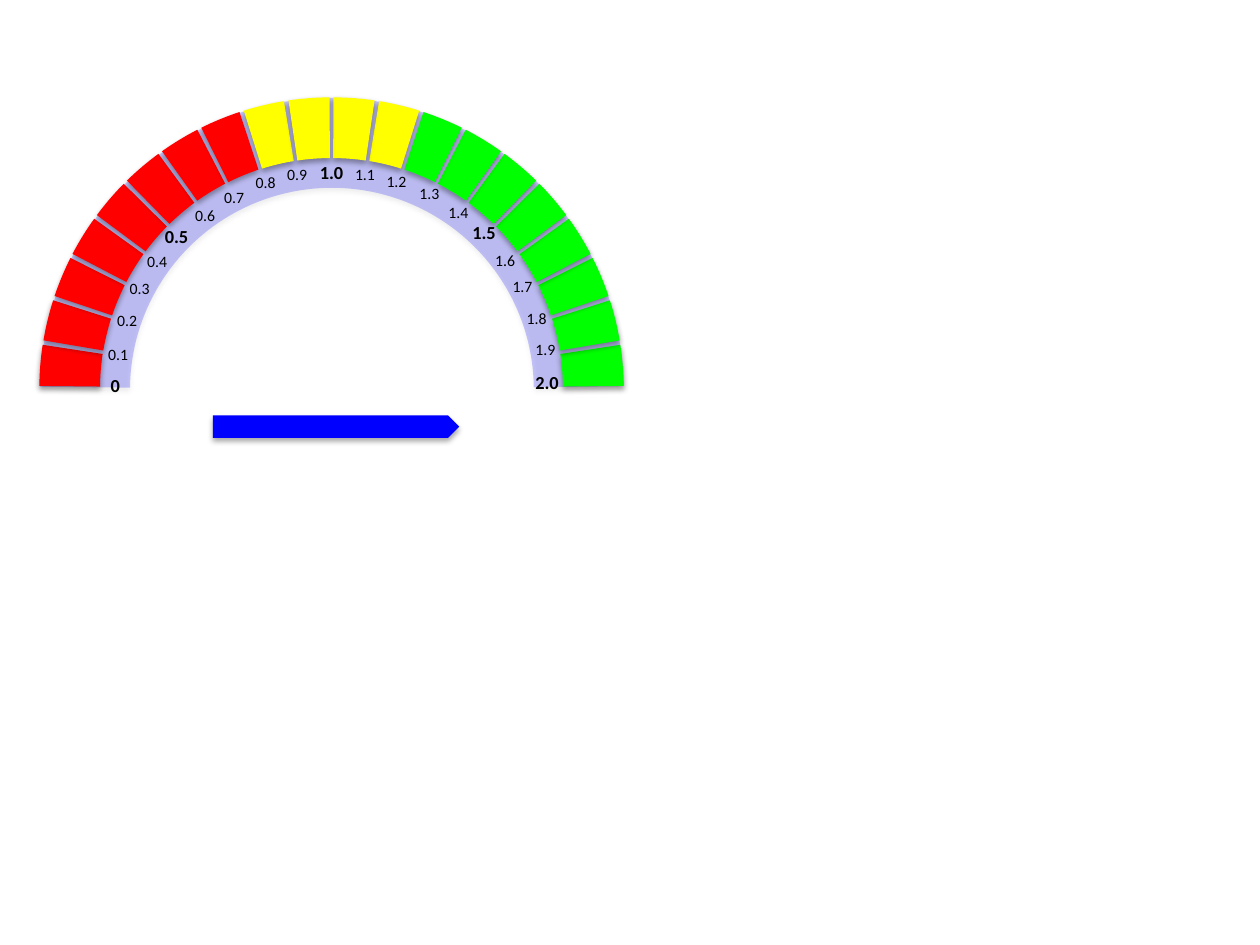
import pptx
import pptx.util
import pptx.dml.color
import pptx.enum.shapes
import pptx.enum.text
from lxml import etree
from pptx.oxml.ns import qn

Pt = pptx.util.Pt
SHAPE = pptx.enum.shapes.MSO_SHAPE

COLORS = {"low": "FF0000", "mid": "FFFF00", "high": "00FF00",
          "blue": "0000FF", "text": "000000", "shadow": "000000"}


class Gauge:
    """Style and drawing methods for the current slide."""
    font = "Calibri"

    def __init__(self, slide):
        self.slide = slide
        self.shapes = slide.shapes

    def group(self):
        self.shapes = self.slide.shapes.add_group_shape().shapes

    def ungroup(self):
        self.shapes = self.slide.shapes

    def rgb(self, name):
        return pptx.dml.color.RGBColor.from_string(COLORS[name])

    def shape(self, kind, left, top, width, height, color, alpha=None):
        sp = self.shapes.add_shape(kind, Pt(left), Pt(top), Pt(width), Pt(height))
        sp.fill.solid()
        sp.fill.fore_color.rgb = self.rgb(color)
        sp.line.fill.background()
        if alpha:
            clr = sp.element.spPr.find(qn("a:solidFill"))[0]
            etree.SubElement(clr, qn("a:alpha"), val=str(alpha * 1000))
        self.shadow(sp)
        return sp

    def shadow(self, sp):
        sp.shadow.inherit = False
        effects = sp.element.spPr.find(qn("a:effectLst"))
        outer = etree.SubElement(effects, qn("a:outerShdw"), blurRad="40000",
                                 dist="23000", dir="5400000", rotWithShape="0")
        clr = etree.SubElement(outer, qn("a:srgbClr"), val=COLORS["shadow"])
        etree.SubElement(clr, qn("a:alpha"), val="35000")

    def arc(self, left, top, size, adjustments, color, rotation=0,
            flip=False, alpha=None):
        sp = self.shape(SHAPE.BLOCK_ARC, left, top, size, size, color, alpha)
        for i, value in enumerate(adjustments):
            sp.adjustments[i] = value
        sp.rotation = rotation
        if flip:
            sp.element.spPr.xfrm.set("flipH", "1")

    def label(self, text, left, top, width, bold):
        tb = self.shapes.add_textbox(Pt(left), Pt(top), Pt(width),
                                     Pt(20 if bold else 18))
        tf = tb.text_frame
        tf.word_wrap = True
        tf.auto_size = pptx.enum.text.MSO_AUTO_SIZE.SHAPE_TO_FIT_TEXT
        r = tf.paragraphs[0].add_run()
        r.text = text
        r.font.name = self.font
        r.font.size = Pt(10.5 if bold else 9)
        r.font.bold = bold
        r.font.color.rgb = self.rgb("text")


prs = pptx.Presentation()
prs.slide_width, prs.slide_height = Pt(720), Pt(540)
gauge = Gauge(prs.slides.add_slide(prs.slide_layouts[6]))
gauge.group()

# Pale scale band behind the segments
SIZE = 333.4
gauge.arc(23, 56, SIZE, (108.347, 215.591, 0.154), "blue", alpha=21)

# Ten segments per side, 9 degrees each, from the outside to the middle
SEGMENT = (210.78, 215.643, 0.104)
for left, outer_color, direction in ((23, "high", -1), (22.5, "low", 1)):
    for i in range(10):
        gauge.arc(left, 55.6, SIZE, SEGMENT, outer_color if i < 8 else "mid",
                  rotation=direction * 9 * i % 360, flip=direction > 0)

# Scale labels: left and top of 0 to 2.0 in steps of 0.1
LABELS = [(56.2, 210.2), (54.7, 193.7), (59.8, 174.2), (67, 155.5),
          (77, 140.4), (87.1, 125.3), (104.4, 113.8), (121, 103.7),
          (139, 95), (157, 90.7), (175.7, 88.6), (195.8, 90.7),
          (213.8, 94.3), (232.6, 101.5), (249.1, 112.3), (262.8, 123.1),
          (275.8, 139.7), (285.8, 154.8), (293.8, 172.8), (298.8, 190.8),
          (298.8, 208.8)]
for i, (left, top) in enumerate(LABELS):
    gauge.label(f"{i / 10:.1f}" if i else "0", left, top,
                58.3 if i else 23.8, bold=i % 5 == 0)

# Pointer
gauge.ungroup()
gauge.shape(SHAPE.PENTAGON, 121.7, 237.4, 140.7, 12.8, "blue")

prs.save("out.pptx")
